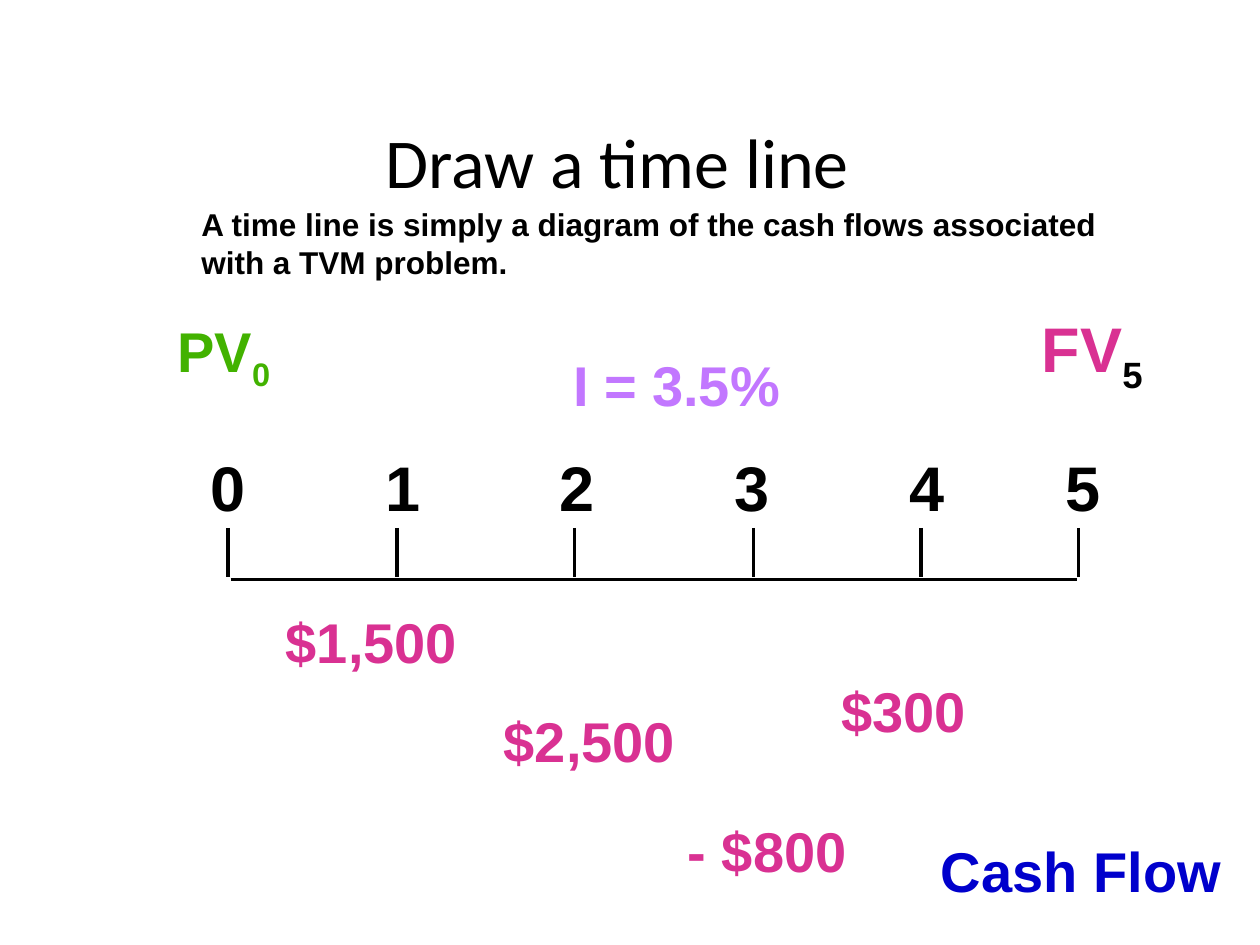
from lxml import etree
from pptx import Presentation
from pptx.dml.color import RGBColor
from pptx.enum.shapes import MSO_CONNECTOR
from pptx.enum.text import MSO_ANCHOR, MSO_AUTO_SIZE, PP_ALIGN
from pptx.oxml.ns import qn
from pptx.util import Inches, Pt

STRAIGHT = MSO_CONNECTOR.STRAIGHT
MIDDLE = MSO_ANCHOR.MIDDLE
NO_FIT = MSO_AUTO_SIZE.NONE
FIT_SHAPE = MSO_AUTO_SIZE.SHAPE_TO_FIT_TEXT
CENTER = PP_ALIGN.CENTER

BLACK = RGBColor(0x00, 0x00, 0x00)
PINK = RGBColor(0xD9, 0x31, 0x92)
GREEN = RGBColor(0x42, 0xB2, 0x00)
PURPLE = RGBColor(0xC2, 0x77, 0xFF)
BLUE = RGBColor(0x00, 0x00, 0xCC)

TICKS = [1.81, 3.15, 4.56, 5.98, 7.31, 8.56]
PERIOD_CENTERS = [1.81, 3.2, 4.58, 5.97, 7.36, 8.6]
INSET = 0.1

LABELS = [
    ("$1,500", 2.17, 4.77, 1.56, PINK),
    ("$2,500", 3.9, 5.56, 1.56, PINK),
    ("- $800", 5.36, 6.43, 1.48, PINK),
    ("$300", 6.58, 5.32, 1.19, PINK),
    ("I = 3.5%", 4.45, 2.73, 1.86, PURPLE),
    ("Cash Flow", 7.37, 6.59, 2.44, BLUE),
]


class SlideBuilder:
    def __init__(self, presentation):
        self.slide = presentation.slides.add_slide(presentation.slide_layouts[5])

    def format_run(self, run, size, color, name="Arial", bold=True):
        run.font.color.rgb = color
        values = {"size": Pt(size), "name": name, "bold": bold}
        for attribute, value in values.items():
            setattr(run.font, attribute, value)

    def title(self, text, left, top, width, height):
        shape = self.slide.shapes.title
        bounds = {"left": left, "top": top, "width": width, "height": height}
        for attribute, value in bounds.items():
            setattr(shape, attribute, Inches(value))
        frame = shape.text_frame
        frame.auto_size = NO_FIT
        frame.vertical_anchor = MIDDLE
        paragraph = frame.paragraphs[0]
        paragraph.alignment = CENTER
        run = paragraph.add_run()
        run.text = text
        self.format_run(run, 40, BLACK, "Calibri", False)

    def text(self, text, left, top, width, height, size, color, wrap=False):
        shape = self.slide.shapes.add_textbox(
            Inches(left), Inches(top), Inches(width), Inches(height))
        frame = shape.text_frame
        frame.auto_size = FIT_SHAPE
        frame.word_wrap = wrap
        paragraph = frame.paragraphs[0]
        run = paragraph.add_run()
        run.text = text
        self.format_run(run, size, color)
        return paragraph

    def subscript_text(self, text, subscript, left, top, width, height,
                       size, color, subscript_color):
        paragraph = self.text(text, left, top, width, height, size, color)
        run = paragraph.add_run()
        run.text = subscript
        self.format_run(run, size, subscript_color)
        run.font._element.set("baseline", "-25000")

    def period_numbers(self, centers, left, top, width, height):
        text = "".join(f"\t{period}" for period in range(len(centers)))
        paragraph = self.text(text, left, top, width, height, 36, BLACK, True)
        properties = paragraph._p.get_or_add_pPr()
        tab_list = etree.SubElement(properties, qn("a:tabLst"))
        for center in centers:
            position = Inches(center - left - INSET)
            etree.SubElement(tab_list, qn("a:tab"), pos=str(position), algn="ctr")

    def line(self, start_x, start_y, end_x, end_y):
        connector = self.slide.shapes.add_connector(
            STRAIGHT, Inches(start_x), Inches(start_y), Inches(end_x), Inches(end_y))
        connector.line.color.rgb = BLACK
        connector.line.width = Pt(2)
        etree.SubElement(connector._element.spPr, qn("a:effectLst"))


def main():
    presentation = Presentation()
    presentation.slide_width = Inches(10)
    presentation.slide_height = Inches(7.5)
    builder = SlideBuilder(presentation)

    builder.title("Draw a time line", 0.25, 1.08, 9.3, 0.39)
    builder.text(
        "A time line is simply a diagram of the cash flows associated with a TVM problem.",
        1.5, 1.58, 7.64, 0.7, 18, BLACK, True)

    builder.line(1.83, 4.6, 8.55, 4.6)
    for tick in TICKS:
        builder.line(tick, 4.19, tick, 4.58)
    builder.period_numbers(PERIOD_CENTERS, 1.33, 3.51, 7.53, 0.7)

    builder.subscript_text("PV", "0", 1.31, 2.46, 0.94, 0.7, 32, GREEN, GREEN)
    builder.subscript_text("FV", "5", 8.17, 2.41, 1, 0.78, 36, PINK, BLACK)
    for text, left, top, width, color in LABELS:
        builder.text(text, left, top, width, 0.63, 32, color)

    presentation.save("out.pptx")


if __name__ == "__main__":
    main()
